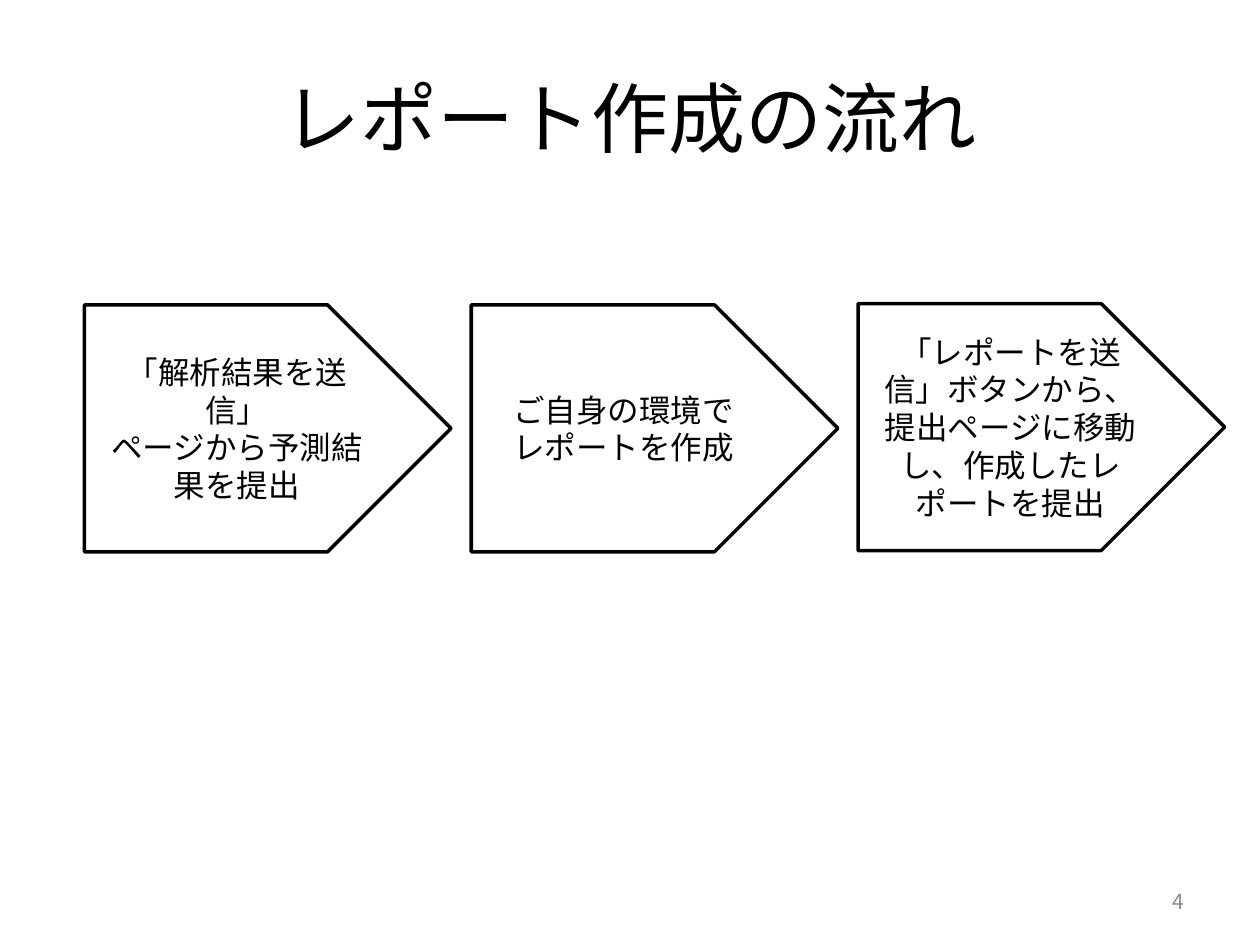
"""Build the report-workflow slide with three step arrows."""
from dataclasses import dataclass

from lxml.etree import SubElement
from pptx import Presentation
from pptx.dml.color import RGBColor
from pptx.enum.shapes import MSO_SHAPE as Preset
from pptx.enum.text import MSO_ANCHOR as Anchor, PP_ALIGN as Align
from pptx.oxml.ns import qn
from pptx.util import Inches, Pt


@dataclass(frozen=True)
class Theme:
    ink: RGBColor = RGBColor(0, 0, 0)
    muted: RGBColor = RGBColor(0x8C, 0x8C, 0x8C)
    japanese_font: str = "Noto Sans CJK JP"
    step_font: str = "Calibri"
    title_size: int = 44
    step_size: int = 18
    number_size: int = 12
    outline: int = 2


@dataclass(frozen=True)
class Step:
    lines: tuple[str, ...]
    top: float = 2.42


THEME = Theme()
STEP_LEFT, STEP_PITCH = 0.67, 3.07
STEP_WIDTH, STEP_HEIGHT = 2.91, 1.96
STEPS = (
    Step(("「解析結果を送信」", "ページから予測結果を提出")),
    Step(("ご自身の環境で", "レポートを作成")),
    Step(("「レポートを送信」ボタンから、提出ページに移動し、作成したレポートを提出",), top=2.41),
)


def write_text(shape, lines: tuple[str, ...], *, size: int,
               font: str = THEME.japanese_font, color: RGBColor = THEME.ink,
               align: Align = Align.CENTER) -> None:
    frame = shape.text_frame
    frame.word_wrap = True
    frame.vertical_anchor = Anchor.MIDDLE
    for index, line in enumerate(lines):
        paragraph = frame.add_paragraph() if index else frame.paragraphs[0]
        paragraph.alignment = align
        run = paragraph.add_run()
        run.text = line
        run.font.name = font
        run.font.size = Pt(size)
        run.font.color.rgb = color
        east_asian = SubElement(run.font._element, qn("a:ea"))
        east_asian.set("typeface", THEME.japanese_font)


def add_label(slide, text: str, left: float, top: float, width: float,
              height: float, **text_format) -> None:
    label = slide.shapes.add_textbox(
        Inches(left), Inches(top), Inches(width), Inches(height))
    write_text(label, (text,), **text_format)


def add_step(slide, step: Step, left: float) -> None:
    arrow = slide.shapes.add_shape(
        Preset.PENTAGON, Inches(left), Inches(step.top),
        Inches(STEP_WIDTH), Inches(STEP_HEIGHT))
    arrow.shadow.inherit = False
    arrow.fill.background()
    arrow.line.color.rgb = THEME.ink
    arrow.line.width = Pt(THEME.outline)
    write_text(arrow, step.lines, size=THEME.step_size, font=THEME.step_font)


def main() -> None:
    deck = Presentation()
    deck.slide_width, deck.slide_height = Inches(10), Inches(7.5)
    slide = deck.slides.add_slide(deck.slide_layouts[6])
    add_label(slide, "レポート作成の流れ", 0.5, 0.3, 9, 1.25, size=THEME.title_size)
    add_label(slide, "4", 7.17, 6.95, 2.33, 0.4, size=THEME.number_size,
              color=THEME.muted, align=Align.RIGHT)
    for index, step in enumerate(STEPS):
        add_step(slide, step, STEP_LEFT + index * STEP_PITCH)
    deck.save("out.pptx")


if __name__ == "__main__":
    main()
